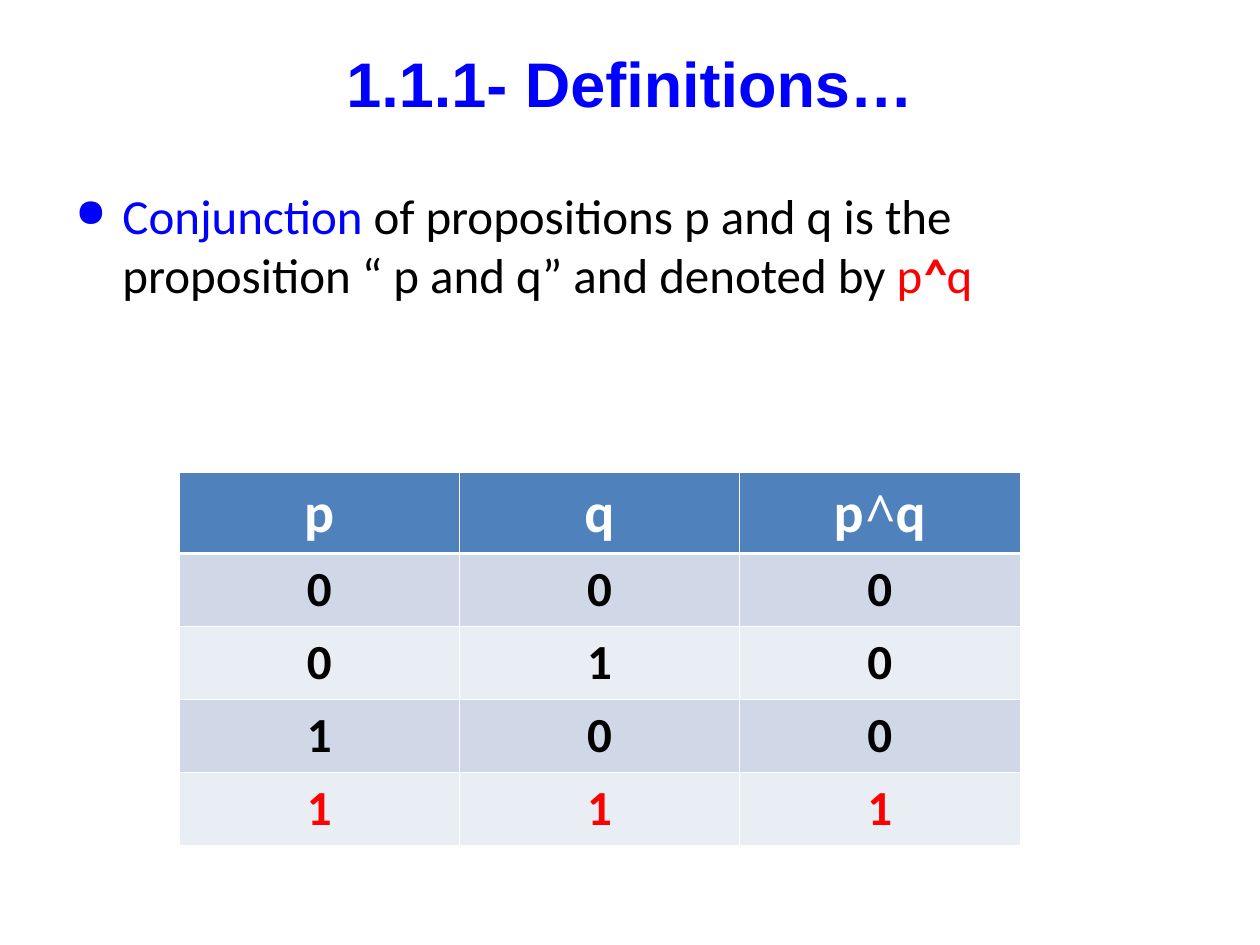
from lxml.etree import SubElement
from pptx import Presentation
from pptx.dml.color import RGBColor
from pptx.enum.text import MSO_ANCHOR, PP_ALIGN
from pptx.oxml.ns import qn
from pptx.util import Cm, Pt

COLORS = {
    "blue": "0000FF",
    "red": "FF0000",
    "black": "000000",
    "white": "FFFFFF",
    "header": "4F81BD",
    "odd": "D0D8E8",
    "even": "E9EDF4",
}


def add_run(paragraph, text, color, **font_values):
    run = paragraph.add_run()
    run.text = text
    run.font.color.rgb = RGBColor.from_string(COLORS[color])
    for key, value in font_values.items():
        setattr(run.font, key, value)


def add_border(cell, side, width):
    line = SubElement(cell._tc.get_or_add_tcPr(), qn(f"a:ln{side}"), w=str(Pt(width)))
    fill = SubElement(line, qn("a:solidFill"))
    SubElement(fill, qn("a:srgbClr"), val=COLORS["white"])


presentation = Presentation()
presentation.slide_width = Cm(25.4)
presentation.slide_height = Cm(19.05)
slide = presentation.slides.add_slide(presentation.slide_layouts[6])

heading = slide.shapes.add_textbox(Cm(1.27), Cm(0.76), Cm(22.86), Cm(1.78)).text_frame
heading.word_wrap = True
heading.vertical_anchor = MSO_ANCHOR.MIDDLE
heading.paragraphs[0].alignment = PP_ALIGN.CENTER
add_run(heading.paragraphs[0], "1.1.1- Definitions…", "blue", name="Arial", size=Pt(36), bold=True)

definition = slide.shapes.add_textbox(Cm(1.27), Cm(3.61), Cm(22.86), Cm(4.88)).text_frame
definition.word_wrap = True
sentence = definition.paragraphs[0]
bullet = sentence._p.get_or_add_pPr()
for key, value in {"marL": Cm(0.95), "indent": -Cm(0.95)}.items():
    bullet.set(key, str(value))
bullet_color = SubElement(bullet, qn("a:buClr"))
SubElement(bullet_color, qn("a:srgbClr"), val=COLORS["blue"])
SubElement(bullet, qn("a:buSzPct"), val="80000")
SubElement(bullet, qn("a:buChar"), char="●")
body_format = {"name": "Calibri", "size": Pt(28)}
for text, color, emphasis in [
    ("Conjunction ", "blue", False),
    ("of propositions p and q is the proposition “ p and q” and denoted by ", "black", False),
    ("p", "red", False),
    ("^", "red", True),
    ("q", "red", False),
]:
    add_run(sentence, text, color, bold=emphasis, italic=emphasis, **body_format)

truth_rows = [["p", "q", "p^q"], "000", "010", "100", "111"]
row_heights = [Cm(1.63)] + [Cm(1.47)] * 4
truth_table = slide.shapes.add_table(
    5, 3, Cm(3.61), Cm(9.53), Cm(16.95), sum(row_heights)
).table
for column in truth_table.columns:
    column.width = Cm(5.65)

for row_index, values in enumerate(truth_rows):
    truth_table.rows[row_index].height = row_heights[row_index]
    if row_index == 0:
        background, ink, size = "header", "white", Pt(32)
    else:
        background = "odd" if row_index % 2 else "even"
        ink = "red" if row_index == 4 else "black"
        size = Pt(28)
    for column_index, value in enumerate(values):
        cell = truth_table.cell(row_index, column_index)
        widths = {
            "L": 0.45,
            "R": 0.45,
            "T": 1.47 if row_index == 1 else 0.45,
            "B": 1.47 if row_index == 0 else 0.45,
        }
        for side, width in widths.items():
            add_border(cell, side, width)
        cell.fill.solid()
        cell.fill.fore_color.rgb = RGBColor.from_string(COLORS[background])
        entry = cell.text_frame.paragraphs[0]
        entry.alignment = PP_ALIGN.CENTER
        for symbol in value:
            caret = symbol == "^"
            font = "Times New Roman" if caret else "Calibri"
            add_run(entry, symbol, ink, name=font, size=size, bold=True, italic=caret)

presentation.save("out.pptx")
